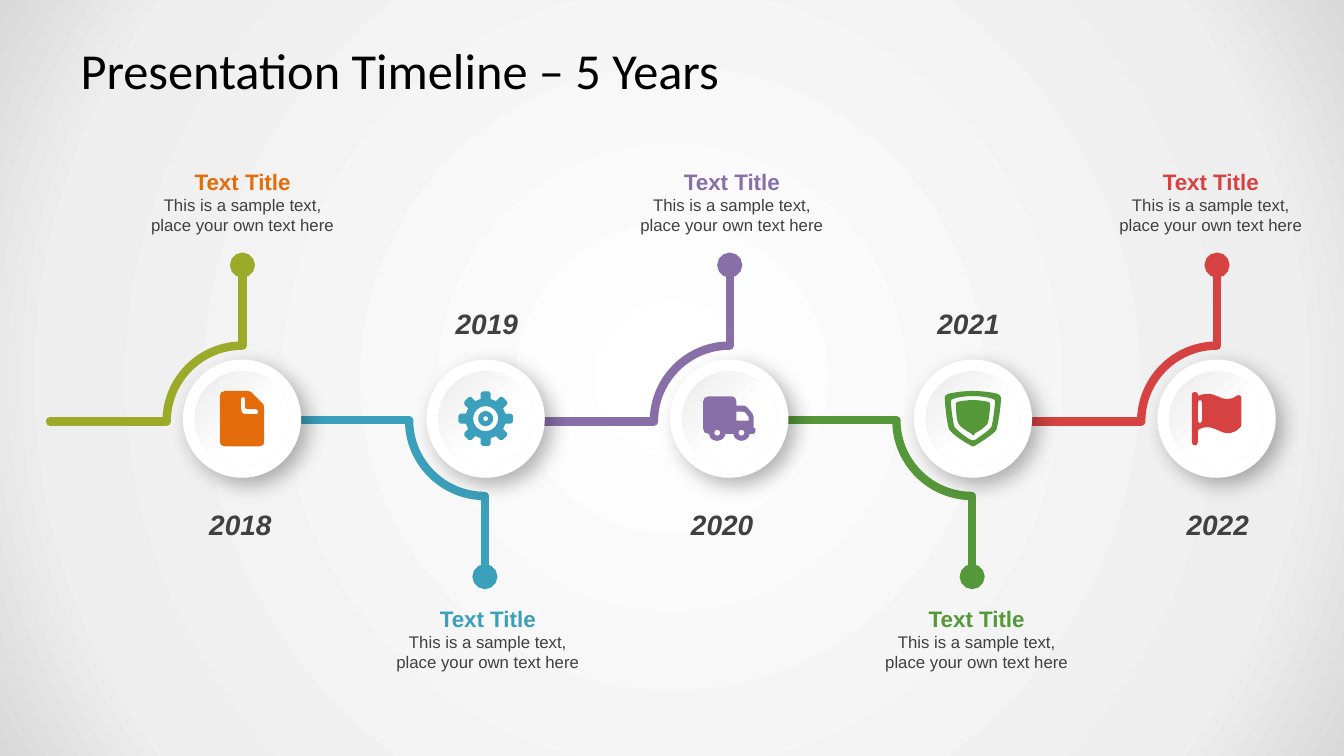
import math
import pptx
import pptx.dml.color
import pptx.enum.shapes
import pptx.enum.text
import pptx.oxml
import pptx.oxml.ns
import pptx.util

Cm, Pt = pptx.util.Cm, pptx.util.Pt
Kind = pptx.enum.shapes.MSO_SHAPE
Align = pptx.enum.text.PP_ALIGN


class Theme:
    """Colours, fonts and sizes of the slide."""
    head, body = "Calibri", "Arial"
    black, grey, white = "000000", "404040", "FFFFFF"
    back = ((0, "FFFFFF"), (81, "EEEEEE"), (100, "D9D9D9"))
    dish = ((0, "EBEBEB"), (60, "FFFFFF"))
    title, year, name, note = 36, 20, 16, 12
    track = 6


def ring(x, y, rad):
    """Circle made of four curves."""
    arm = 0.55 * rad
    return [(x + rad, y), (x + rad, y + arm, x + arm, y + rad, x, y + rad),
            (x - arm, y + rad, x - rad, y + arm, x - rad, y),
            (x - rad, y - arm, x - arm, y - rad, x, y - rad),
            (x + arm, y - rad, x + rad, y - arm, x + rad, y)]


def cog(x, y):
    """Outline of a wheel with eight teeth."""
    tooth = ((-5, -19.5), (-5, -25), (-3, -27), (3, -27), (5, -25), (5, -19.5))
    turns = [math.tau * k / 8 for k in range(8)]
    return [(x + a * math.cos(t) - b * math.sin(t),
             y + a * math.sin(t) + b * math.cos(t)) for t in turns for a, b in tooth]


# Icons: width, height, outlines. A pair is a corner, a six is a Bezier curve.
PAGE = (44, 55, [
    [(5, 0), (2, 0, 0, 2, 0, 5), (0, 51), (0, 53, 2, 55, 5, 55), (39, 55),
     (42, 55, 44, 53, 44, 51), (44, 16), (44, 14, 43, 13, 42, 12), (31, 1),
     (30, 0, 29, 0, 28, 0)],
    [(21, 8), (21, 7, 22, 6, 23, 6), (24, 6, 25, 7, 25, 8), (25, 16),
     (25, 17, 26, 18, 27, 18), (36, 18), (37, 18, 38, 20, 38, 21),
     (38, 22, 37, 23, 36, 23), (25, 23), (23, 23, 21, 21, 21, 18)]])
GEAR = (54, 54, [cog(27, 27)] + [ring(27, 27, rad) for rad in (12.5, 7.5, 2.5)])
TRUCK = (52, 44, [
    [(5, 37), (2, 37, 0, 35, 0, 32), (0, 5), (0, 2, 2, 0, 5, 0), (29, 0),
     (31, 0, 33, 2, 33, 5), (33, 9), (40, 9), (41, 9, 43, 10, 44, 11), (49, 17),
     (50, 18, 50, 19, 50, 20), (50, 31), (52, 31, 52, 32, 52, 34),
     (52, 35, 51, 37, 50, 37), (46, 37), (46, 41, 42, 44, 38, 44),
     (34, 44, 30, 41, 30, 37), (22, 37), (22, 41, 18, 44, 14, 44),
     (9, 44, 6, 41, 6, 37)],
    ring(38, 36, 3), ring(14, 36, 3),
    [(45, 24), (45, 21), (45, 20, 45, 19, 44, 19), (42, 16),
     (41, 15, 40, 15, 39, 15), (33, 15), (33, 24)]])
SHIELD = (56, 55, [
    [(0, 7), (1, 23, 3, 37, 5, 39), (8, 43, 18, 50, 24, 53), (26, 54, 27, 55, 28, 55),
     (29, 55, 31, 54, 32, 53), (37, 50, 48, 43, 51, 39), (52, 37, 55, 23, 56, 7),
     (56, 5, 54, 4, 53, 3), (46, 1, 36, 0, 28, 0), (20, 0, 10, 1, 3, 3),
     (1, 4, 0, 5, 0, 7)],
    [(6, 11), (6, 9, 7, 8, 8, 8), (13, 6, 21, 5, 28, 5), (34, 5, 43, 6, 48, 8),
     (49, 8, 50, 9, 50, 11), (49, 23, 47, 35, 46, 36), (44, 39, 35, 45, 31, 48),
     (30, 48, 29, 49, 28, 49), (27, 49, 26, 48, 25, 48), (20, 45, 12, 39, 10, 36),
     (9, 35, 7, 23, 6, 11)],
    [(11, 13), (11, 23, 13, 33, 14, 33), (16, 36, 22, 40, 26, 42),
     (27, 43, 27, 44, 28, 44), (29, 44, 30, 43, 30, 42), (34, 40, 40, 36, 42, 33),
     (43, 33, 45, 23, 45, 13), (45, 13, 45, 12, 44, 11), (40, 10, 33, 9, 28, 9),
     (23, 9, 16, 10, 12, 11), (11, 12, 11, 13, 11, 13)]])
FLAG = (49, 53, [
    [(6, 38), (6, 38, 9, 35, 15, 35), (23, 35, 29, 41, 35, 41), (41, 41, 45, 38, 47, 36),
     (48, 35, 49, 34, 49, 33), (49, 6), (49, 4, 48, 3, 46, 3), (46, 3, 45, 4, 44, 4),
     (43, 5, 41, 7, 34, 7), (28, 7, 24, 2, 16, 2), (9, 2, 6, 4, 6, 4), (6, 2),
     (6, 1, 4, 0, 3, 0), (1, 0, 0, 1, 0, 2), (0, 50), (0, 52, 1, 53, 3, 53),
     (4, 53, 6, 52, 6, 50)],
    [(10, 11), (10, 28), (10, 30, 9, 31, 8, 31), (7, 31, 6, 30, 6, 28), (6, 11),
     (6, 9, 7, 8, 8, 8), (9, 8, 10, 9, 10, 11)]])

TITLE = "Presentation Timeline – 5 Years"
NAME, NOTE = "Text Title", "This is a sample text, place your own text here"
# Year, track colour, accent, icon, middle of the year, middle of the note (cm)
STEPS = [("2018", "9BAB29", "E46C0A", PAGE, 6.06, 6.11),
         ("2019", "3BA0BB", "3BA0BB", GEAR, 12.27, 12.29),
         ("2020", "896FA8", "896FA8", TRUCK, 18.2, 18.44),
         ("2021", "55983A", "55983A", SHIELD, 24.41, 24.61),
         ("2022", "D64242", "D64242", FLAG, 30.69, 30.51)]
LEFT, STEP, MID = 6.1, 6.14, 10.55
BEND, STEM, REACH, UNIT = 1.91, 2.03, 4.85, 0.0254

deck = pptx.Presentation()
deck.slide_width, deck.slide_height = Cm(33.87), Cm(19.05)
slide = deck.slides.add_slide(deck.slide_layouts[6])
shapes = slide.shapes


def rgb(code):
    """Colour from its hex code."""
    return pptx.dml.color.RGBColor.from_string(code)


def node(text):
    """XML element in the drawing namespace."""
    head, tail = text.split(" ", 1)
    space = pptx.oxml.ns.nsdecls("a")
    return pptx.oxml.parse_xml(f"<a:{head} {space} {tail}")


def grade(root, stops, shade):
    """Set the stops and the direction of a gradient found under root."""
    grad = root.find(".//" + pptx.oxml.ns.qn("a:gradFill"))
    for child in list(grad):
        grad.remove(child)
    marks = "".join(f'<a:gs pos="{pos * 1000}"><a:srgbClr val="{code}"/></a:gs>'
                    for pos, code in stops)
    grad.append(node(f"gsLst >{marks}</a:gsLst>"))
    grad.append(node(shade))


def stroke(shape, code, dot=False):
    """Give a track part its round line, with a dot at its end if asked."""
    shape.line.color.rgb = rgb(code)
    shape.line.width = Pt(Theme.track)
    line = shape.line._get_or_add_ln()
    line.set("cap", "rnd")
    line.append(node("round />"))
    if dot:
        line.append(node('tailEnd type="oval"/>'))


def rail(x1, y1, x2, y2, code, dot=False):
    """Draw a straight track part."""
    bar = shapes.add_connector(pptx.enum.shapes.MSO_CONNECTOR.STRAIGHT,
                               Cm(x1), Cm(y1), Cm(x2), Cm(y2))
    stroke(bar, code, dot)
    bar._element.spPr.append(node("effectLst />"))


def track(x, y, side, code):
    """Draw bend, rail and stem; side is -1 for up and 1 for down."""
    bend = shapes.add_shape(Kind.ARC, Cm(x - BEND), Cm(y - BEND),
                            Cm(2 * BEND), Cm(2 * BEND))
    bend.adjustments[0], bend.adjustments[1] = 108.13, 161.31
    if side > 0:
        bend._element.spPr.xfrm.set("flipV", "1")
    bend.fill.background()
    bend.shadow.inherit = False
    stroke(bend, code)
    rail(x - BEND, y, x - REACH, y, code)
    rail(x, y + side * BEND, x, y + side * (BEND + STEM), code, True)


def paint(shape, code):
    """Give a shape a plain fill, no line and no shadow."""
    shape.shadow.inherit = False
    shape.line.fill.background()
    shape.fill.solid()
    shape.fill.fore_color.rgb = rgb(code)


def disc(x, rad):
    """Draw a white disc."""
    item = shapes.add_shape(Kind.OVAL, Cm(x - rad), Cm(MID - rad), Cm(2 * rad), Cm(2 * rad))
    paint(item, Theme.white)
    return item


def badge(x):
    """Draw the raised disc and its shaded dish."""
    rim = disc(x, 1.49)._element.spPr.find(pptx.oxml.ns.qn("a:effectLst"))
    rim.append(node(f'outerShdw blurRad="{Pt(15)}" dist="{Pt(7)}" dir="2700000" '
                    f'algn="tl" rotWithShape="0"><a:srgbClr val="{Theme.black}">'
                    '<a:alpha val="30000"/></a:srgbClr></a:outerShdw>'))
    dish = disc(x, 1.19)
    dish.fill.gradient()
    grade(dish._element, Theme.dish, 'lin ang="2700000" scaled="0"/>')


def icon(x, art, code):
    """Draw an icon centred on its disc, with its curves."""
    wide, high, parts = art

    def spot(a, b):
        """Place on the slide of an icon point."""
        return Cm(x + (a - wide / 2) * UNIT), Cm(MID + (b - high / 2) * UNIT)

    pen = None
    for part in parts:
        ends = [spot(*piece[-2:]) for piece in part]
        if pen:
            pen.move_to(*ends[0])
        else:
            pen = shapes.build_freeform(*ends[0])
        pen.add_line_segments(ends[1:], close=True)
    form = pen.convert_to_shape()
    paint(form, code)
    track_tags = [pptx.oxml.ns.qn(tag) for tag in ("a:moveTo", "a:lnTo")]
    marks = list(form._element.spPr.iter(*track_tags))
    # Closing a part may add one more line to its start; the walk is per part.
    marks = iter(marks)
    mark = next(marks)
    for part in parts:
        while mark.tag != track_tags[0]:
            mark = next(marks)
        for piece in part:
            if len(piece) == 6:
                dots = [spot(*piece[k:k + 2]) for k in (0, 2, 4)]
                text = "".join(f'<a:pt x="{a - form.left}" y="{b - form.top}"/>'
                               for a, b in dots)
                mark.getparent().replace(mark, node(f"cubicBezTo >{text}</a:cubicBezTo>"))
            mark = next(marks, None)


def label(x, y, wide, high, rows, align=Align.CENTER, face=Theme.body, wrap=True):
    """Add a text box; each row is text, size, colour, bold, italic."""
    frame = shapes.add_textbox(Cm(x), Cm(y), Cm(wide), Cm(high)).text_frame
    frame.word_wrap = wrap
    frame.vertical_anchor = pptx.enum.text.MSO_ANCHOR.MIDDLE
    for k, (text, size, code, bold, slant) in enumerate(rows):
        para = frame.add_paragraph() if k else frame.paragraphs[0]
        para.text, para.alignment = text, align
        font = para.font
        font.name, font.size, font.bold, font.italic = face, Pt(size), bold, slant
        font.color.rgb = rgb(code)
    return frame


slide.background.fill.gradient()
grade(slide._element, Theme.back, 'path path="circle"><a:fillToRect l="50000" t="50000" '
      'r="50000" b="50000"/></a:path>')
spots = [(LEFT + STEP * k, 1 if k % 2 else -1, step) for k, step in enumerate(STEPS)]
for x, side, step in spots:
    if side < 0:
        track(x + 0.01, 10.62, side, step[1])
    else:
        track(x - 0.02, 10.59, side, step[1])
for x, side, (year, _, accent, art, date, note) in spots:
    badge(x)
    icon(x, art, accent)
    label(date - 1.05, 7.59 if side > 0 else 12.65, 2.1, 1.12,
          [(year, Theme.year, Theme.grey, True, True)], wrap=False)
    label(note - 2.56, 14.83 if side > 0 else 3.82, 5.13, 2.51,
          [(NAME, Theme.name, accent, True, False),
           (NOTE, Theme.note, Theme.grey, False, False)])
head = label(1.7, 0.76, 30.48, 1.98, [(TITLE, Theme.title, Theme.black, False, False)],
             Align.LEFT, Theme.head)
head.margin_left = head.margin_right = Cm(0.33)
head.margin_top = head.margin_bottom = Cm(0.18)
deck.save("out.pptx")
